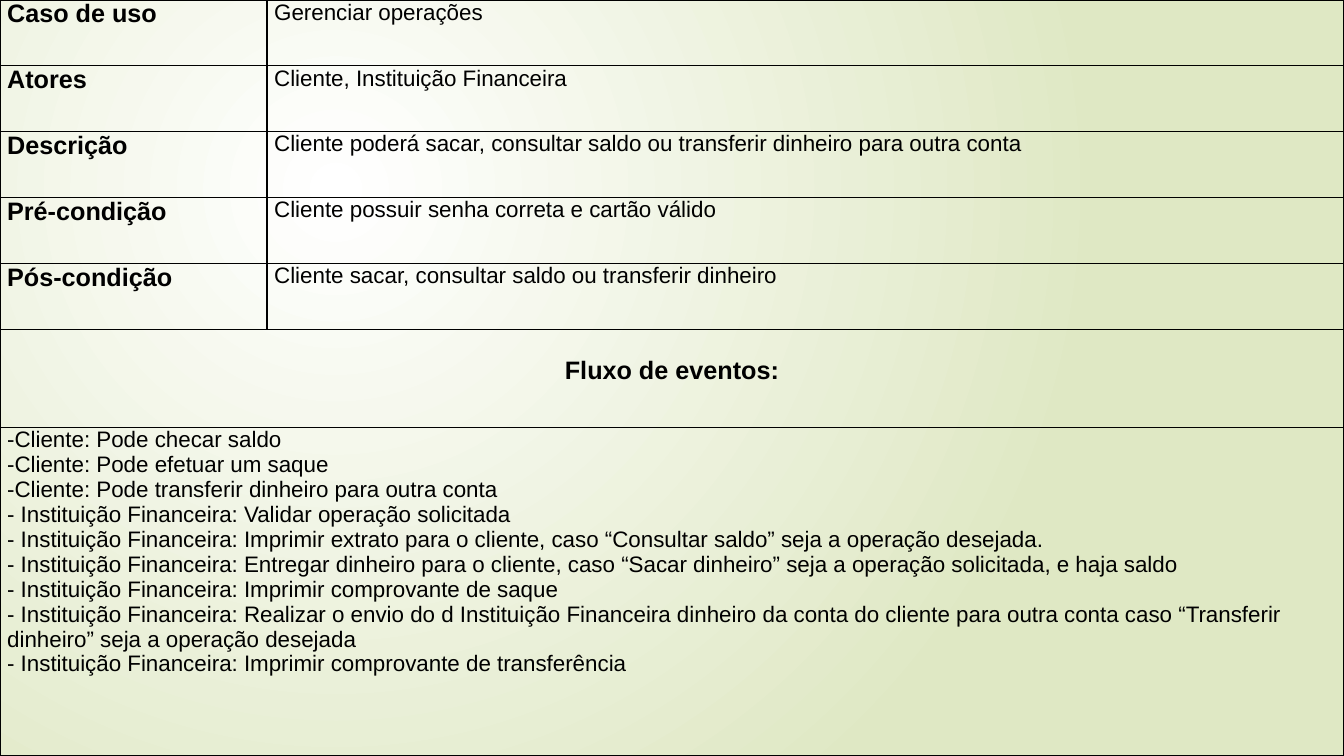
from lxml import etree
from pptx import Presentation
from pptx.dml.color import RGBColor
from pptx.enum.text import PP_ALIGN
from pptx.oxml import parse_xml
from pptx.oxml.ns import nsdecls, qn
from pptx.util import Cm, Pt

LEFT, CENTER = PP_ALIGN.LEFT, PP_ALIGN.CENTER
BLANK_LAYOUT = 6
WIDTH, HEIGHT = 33.87, 19.05


def color(hex_code):
    return RGBColor.from_string(hex_code)


class UseCaseSlide:
    font = "Arial"
    ink = "000000"
    label_size, text_size = 18, 16
    side_margin = 0.18
    border_width = 1

    def __init__(self, slide):
        self.slide = slide

    def radial_background(self, inner, outer):
        fill = self.slide.background.fill
        fill.gradient()
        for stop, hex_code in zip(fill.gradient_stops, (inner, outer)):
            stop.color.rgb = color(hex_code)
        # Replace the linear direction with a circular one
        linear = next(self.slide.element.iter(qn("a:lin")))
        circle = parse_xml(
            f'<a:path {nsdecls("a")} path="circle">'
            '<a:fillToRect l="50000" t="50000" r="100000" b="100000"/></a:path>')
        linear.getparent().replace(linear, circle)

    def table(self, column_widths, row_heights):
        frame = self.slide.shapes.add_table(
            len(row_heights), len(column_widths), 0, 0, Cm(WIDTH), Cm(HEIGHT))
        table = frame.table
        table.first_row = table.horz_banding = False
        for column, width in zip(table.columns, column_widths):
            column.width = Cm(width)
        for row, height in zip(table.rows, row_heights):
            row.height = Cm(height)
        for cell in table.iter_cells():
            cell.fill.background()
            self.borders(cell)
        return table

    def borders(self, cell):
        properties = cell._tc.get_or_add_tcPr()
        for position, side in enumerate(("lnL", "lnR", "lnT", "lnB")):
            line = etree.Element(qn(f"a:{side}"), w=str(Pt(self.border_width)))
            solid = etree.SubElement(line, qn("a:solidFill"))
            etree.SubElement(solid, qn("a:srgbClr"), val=self.ink)
            properties.insert(position, line)

    def fill_cell(self, cell, lines, size, bold=False, align=LEFT, top=0):
        cell.margin_left = cell.margin_right = Cm(self.side_margin)
        cell.margin_top, cell.margin_bottom = Cm(top), 0
        cell.text = "\n".join(lines)
        for paragraph in cell.text_frame.paragraphs:
            paragraph.alignment = align
            paragraph.font.name = self.font
            paragraph.font.size = Pt(size)
            paragraph.font.bold = bold
            paragraph.font.color.rgb = color(self.ink)

    def label(self, cell, text, **layout):
        self.fill_cell(cell, [text], self.label_size, bold=True, **layout)

    def body(self, cell, *lines):
        self.fill_cell(cell, lines, self.text_size)


# Content
summary = {
    "Caso de uso": "Gerenciar operações",
    "Atores": "Cliente, Instituição Financeira",
    "Descrição": "Cliente poderá sacar, consultar saldo ou transferir dinheiro para outra conta",
    "Pré-condição": "Cliente possuir senha correta e cartão válido",
    "Pós-condição": "Cliente sacar, consultar saldo ou transferir dinheiro",
}
client_events = [
    "Pode checar saldo",
    "Pode efetuar um saque",
    "Pode transferir dinheiro para outra conta",
]
institution_events = [
    "Validar operação solicitada",
    "Imprimir extrato para o cliente, caso “Consultar saldo” seja a operação desejada.",
    "Entregar dinheiro para o cliente, caso “Sacar dinheiro” seja a operação solicitada, "
    "e haja saldo",
    "Imprimir comprovante de saque",
    "Realizar o envio do d Instituição Financeira dinheiro da conta do cliente para outra "
    "conta caso “Transferir dinheiro” seja a operação desejada",
    "Imprimir comprovante de transferência",
]

# Slide and background
prs = Presentation()
prs.slide_width, prs.slide_height = Cm(WIDTH), Cm(HEIGHT)
page = UseCaseSlide(prs.slides.add_slide(prs.slide_layouts[BLANK_LAYOUT]))
page.radial_background("FFFFFF", "DFE8C4")

# Table grid: summary rows, heading row, and events in the remaining height
label_width, summary_height, heading_height = 6.73, 1.66, 2.48
events_height = HEIGHT - len(summary) * summary_height - heading_height
use_case = page.table(
    [label_width, WIDTH - label_width],
    [summary_height] * len(summary) + [heading_height, events_height])

# Summary rows
for row, (name, description) in enumerate(summary.items()):
    page.label(use_case.cell(row, 0), name)
    page.body(use_case.cell(row, 1), description)

# Flow of events across both columns
heading_row, events_row = len(summary), len(summary) + 1
for row in (heading_row, events_row):
    use_case.cell(row, 0).merge(use_case.cell(row, 1))
page.label(use_case.cell(heading_row, 0), "Fluxo de eventos:", align=CENTER, top=0.7)
page.body(
    use_case.cell(events_row, 0),
    *(f"-Cliente: {event}" for event in client_events),
    *(f"- Instituição Financeira: {event}" for event in institution_events))

prs.save("out.pptx")
